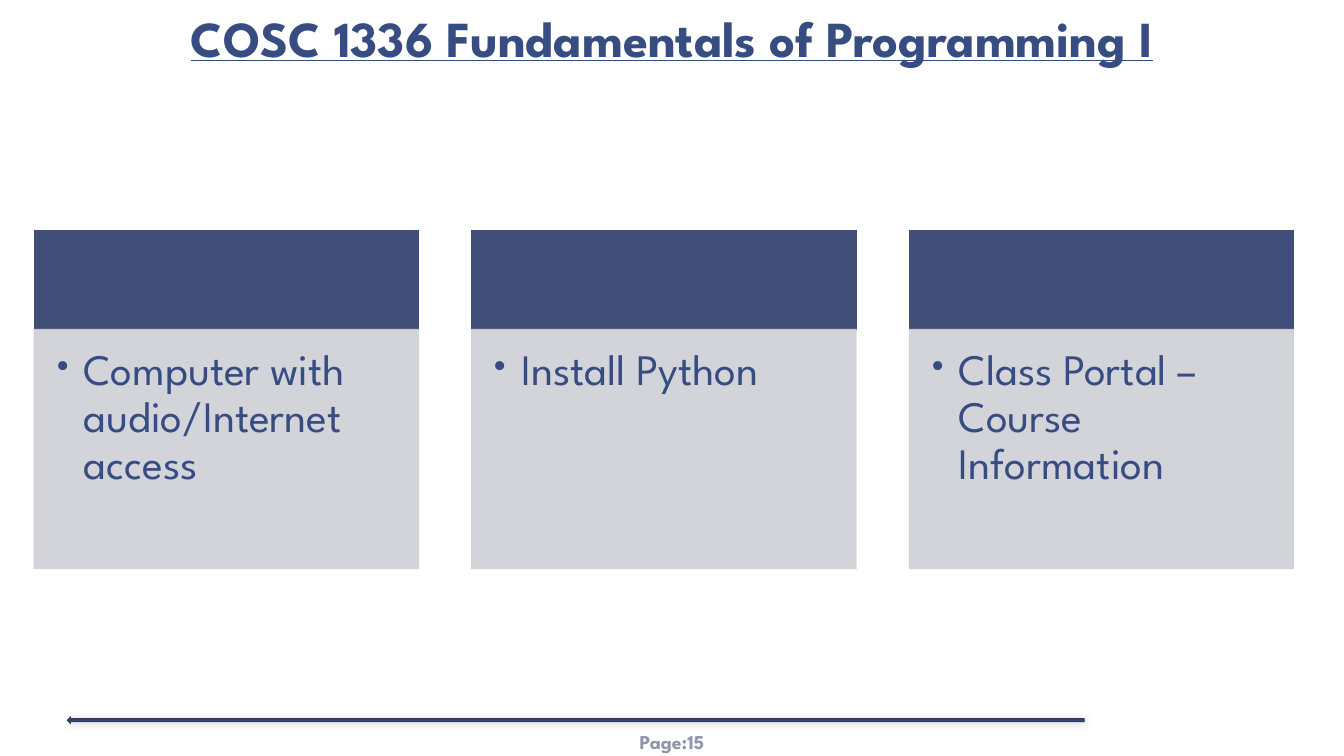
from lxml import etree
from pptx import Presentation
from pptx import util as u
from pptx.dml.color import RGBColor
from pptx.enum import shapes, text
from pptx.oxml.ns import qn

FONT = "League Spartan"
NAVY, BAND, GREY = "374C81", "414E77", "CFD0D6"
ITEMS = ["Computer with audio/Internet access", "Install Python",
         "Class Portal – Course Information"]


def color(code):
    return RGBColor.from_string(code)


def shape(slide, kind, box, fill, edge):
    item = slide.shapes.add_shape(kind, *map(u.Inches, box))
    item.shadow.inherit = False
    item.fill.solid()
    item.fill.fore_color.rgb = color(fill)
    item.line.color.rgb = color(edge)
    item.line.width = u.Pt(1)
    # Sharp corners
    etree.SubElement(item.element.spPr.find(qn("a:ln")), qn("a:miter"),
                     lim="800000")
    return item


def write(item, words, size, tint, bold=False):
    frame = item.text_frame
    frame.text = words
    frame.word_wrap = True
    para = frame.paragraphs[0]
    font = para.runs[0].font
    font.name, font.size, font.bold = FONT, u.Pt(size), bold
    font.color.rgb = color(tint)
    return frame, para


def inset(frame, left, top, right, bottom):
    frame.margin_left, frame.margin_top = u.Inches(left), u.Inches(top)
    frame.margin_right, frame.margin_bottom = u.Inches(right), u.Inches(bottom)


def label(slide, box, words, size, tint):
    item = slide.shapes.add_textbox(*map(u.Inches, box))
    frame, para = write(item, words, size, tint, True)
    para.alignment = text.PP_ALIGN.CENTER
    return frame, para


def title(slide, box, words):
    para = label(slide, box, words, 36, NAVY)[1]
    para.runs[0].font.underline = True


def card(slide, box, words):
    left, top, width, height = box
    band = 0.98
    rect = shapes.MSO_SHAPE.RECTANGLE
    shape(slide, rect, (left, top, width, band), BAND, BAND)

    # Body with slightly clear fill and edge
    body = shape(slide, rect, (left, top + band, width, height - band),
                 GREY, GREY)
    for tint in body.element.spPr.iter(qn("a:srgbClr")):
        etree.SubElement(tint, qn("a:alpha"), val="90000")

    # Bulleted text
    frame, para = write(body, words, 31, NAVY)
    inset(frame, 0.18, 0.18, 0.24, 0.27)
    frame.vertical_anchor = text.MSO_ANCHOR.TOP
    para.alignment = text.PP_ALIGN.LEFT
    para.line_spacing = 0.9
    props = para._p.get_or_add_pPr()
    props.set("marL", str(u.Inches(0.31)))
    props.set("indent", str(u.Inches(-0.31)))
    etree.SubElement(props, qn("a:buFont"), typeface=FONT)
    etree.SubElement(props, qn("a:buChar"), char="•")


def cards(slide, box):
    left, top, width, height = box
    wide = 3.81
    step = (width - wide) / (len(ITEMS) - 1)
    for i, words in enumerate(ITEMS):
        card(slide, (left + i * step, top, wide, height), words)


def footer(slide, box):
    left, top, width, height = box
    # Page number
    frame, _ = label(slide, (left + 5.11, top + 0.04, 1.77, 0.4),
                     "Page:15", 14, "9196AC")
    inset(frame, 0.04, 0.02, 0.04, 0.02)
    frame.vertical_anchor = text.MSO_ANCHOR.MIDDLE

    # Thin arrow with a soft shadow
    arrow = shape(slide, shapes.MSO_SHAPE.LEFT_ARROW,
                  (left, top, width, 0.05), NAVY, "303A58")
    effects = arrow.element.spPr.find(qn("a:effectLst"))
    shade = etree.SubElement(effects, qn("a:outerShdw"),
                             blurRad=str(u.Pt(6)), dist=str(u.Pt(1)),
                             dir="2700000", algn="tl", rotWithShape="0")
    tint = etree.SubElement(shade, qn("a:srgbClr"), val="000000")
    etree.SubElement(tint, qn("a:alpha"), val="20000")


def main():
    deck = Presentation()
    deck.slide_width, deck.slide_height = u.Inches(13.33), u.Inches(7.5)
    slide = deck.slides.add_slide(deck.slide_layouts[6])
    footer(slide, (0.67, 7.12, 10.08, 0.38))
    cards(slide, (0.34, 2.29, 12.49, 3.35))
    title(slide, (0, 0.02, 13.33, 0.71),
          "COSC 1336 Fundamentals of Programming I")
    deck.save("out.pptx")


if __name__ == "__main__":
    main()
